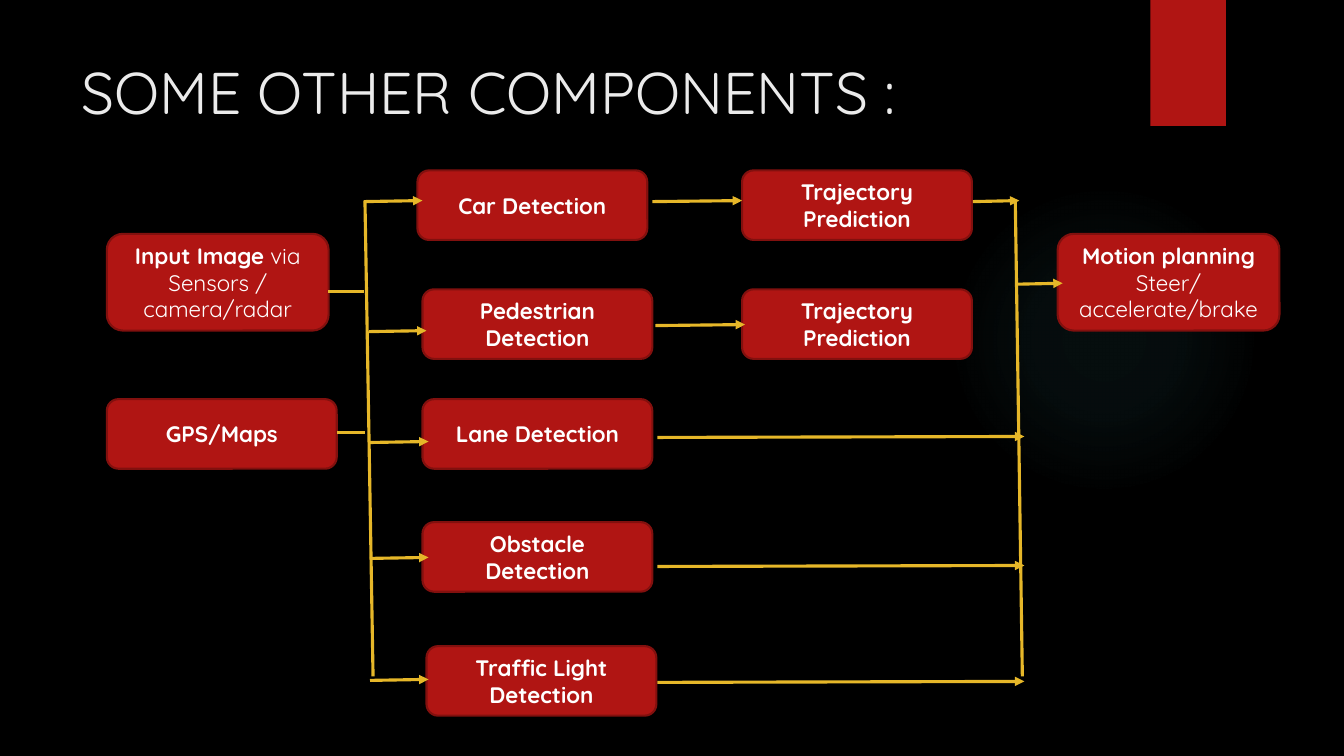
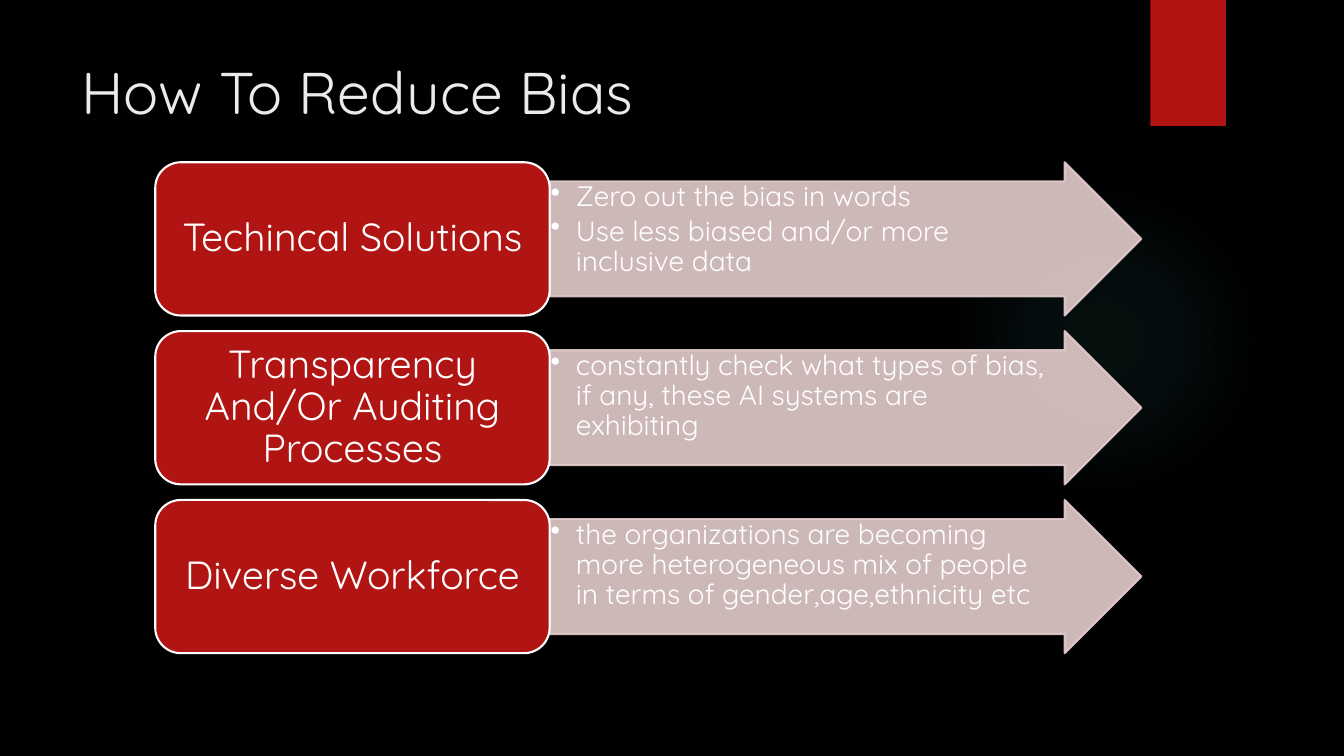
"""Build two dark slides: a detection pipeline and ways to reduce bias."""
from lxml import etree
from pptx import Presentation
from pptx.dml.color import RGBColor
from pptx.enum.shapes import MSO_CONNECTOR as Connector, MSO_SHAPE as Shape
from pptx.enum.text import MSO_ANCHOR as Anchor, PP_ALIGN as Align
from pptx.oxml import parse_xml
from pptx.oxml.ns import nsdecls, qn
from pptx.util import Inches, Pt

FONT = "Quicksand"
BLACK = RGBColor(0x00, 0x00, 0x00)
WHITE = RGBColor(0xFF, 0xFF, 0xFF)
TITLE_GREY = RGBColor(0xEB, 0xEB, 0xEB)
RED = RGBColor(0xB0, 0x15, 0x13)
DARK_RED = RGBColor(0x82, 0x10, 0x0E)
GOLD = RGBColor(0xE6, 0xB7, 0x29)
PINK = RGBColor(0xE4, 0xCC, 0xCC)
GLOW = RGBColor(0x50, 0xB9, 0xC1)
GLOW_STOPS = ((0, 7), (36, 6), (69, 0))

BOX_WIDTH, BOX_HEIGHT = 2.28, 0.69
END_WIDTH, END_HEIGHT = 2.2, 0.96
BOXES = (
    (0, 0.63, END_WIDTH, END_HEIGHT,
     ((("Input Image ", True), ("via", False)), (("Sensors / camera/radar", False),))),
    (0, 2.27, BOX_WIDTH, BOX_HEIGHT, ((("GPS/Maps", True),),)),
    (3.08, 0, BOX_WIDTH, BOX_HEIGHT, ((("Car Detection", True),),)),
    (3.13, 1.18, BOX_WIDTH, BOX_HEIGHT, ((("Pedestrian Detection", True),),)),
    (3.13, 2.27, BOX_WIDTH, BOX_HEIGHT, ((("Lane Detection", True),),)),
    (3.13, 3.49, BOX_WIDTH, BOX_HEIGHT, ((("Obstacle Detection", True),),)),
    (3.17, 4.72, BOX_WIDTH, BOX_HEIGHT, ((("Traffic Light", True),), (("Detection", True),))),
    (6.3, 0, BOX_WIDTH, BOX_HEIGHT, ((("Trajectory Prediction", True),),)),
    (6.3, 1.18, BOX_WIDTH, BOX_HEIGHT, ((("Trajectory", True),), (("Prediction", True),))),
    (9.43, 0.63, END_WIDTH, END_HEIGHT,
     ((("Motion planning", True),), (("Steer/accelerate/brake", False),))),
)
PLAIN_LINES = (
    (2.56, 0.3, 2.64, 5.02),
    (9.01, 0.3, 9.08, 5.02),
    (2.55, 1.2, 2.19, 1.2),
    (2.56, 2.6, 2.28, 2.6),
)
ARROWS = (
    (2.55, 3.13, 0.31), (2.6, 3.17, 1.6), (2.61, 3.19, 2.7),
    (2.61, 3.19, 3.85), (2.61, 3.19, 5.06),
    (5.41, 6.3, 0.31), (5.44, 6.33, 1.54),
    (5.46, 9.1, 2.65), (5.46, 9.1, 3.93), (5.46, 9.1, 5.08),
    (8.59, 9.05, 0.31), (9.01, 9.48, 1.13),
)
ARROW_RISE = 0.01
REMEDIES = (
    ("Techincal Solutions",
     ("Zero out the bias in words", "Use less biased and/or more inclusive data")),
    ("Transparency And/Or Auditing Processes",
     ("constantly check what types of bias, if any, these AI systems are exhibiting",)),
    ("Diverse Workforce",
     ("the organizations are becoming more heterogeneous mix of people in terms of "
      "gender,age,ethnicity etc",)),
)


def add_run(paragraph, text, size, color=WHITE, bold=False):
    """Add one run in the deck's font."""
    run = paragraph.add_run()
    run.text = text
    run.font.name = FONT
    run.font.size = Pt(size)
    run.font.bold = bold
    run.font.color.rgb = color


def next_paragraph(frame, index):
    """Return the first paragraph of a frame, or a new one after it."""
    return frame.add_paragraph() if index else frame.paragraphs[0]


def set_insets(frame, left, top, right, bottom):
    """Set the four margins of a text frame in inches."""
    frame.margin_left, frame.margin_top = Inches(left), Inches(top)
    frame.margin_right, frame.margin_bottom = Inches(right), Inches(bottom)


def add_filled(slide, kind, left, top, width, height, fill, line=None):
    """Add a flat preset shape with an optional outline."""
    shape = slide.shapes.add_shape(kind, Inches(left), Inches(top), Inches(width), Inches(height))
    shape.shadow.inherit = False
    shape.fill.solid()
    shape.fill.fore_color.rgb = fill
    if line is None:
        shape.line.fill.background()
    else:
        shape.line.color.rgb = line
        shape.line.width = Pt(1.5)
    shape.text_frame.word_wrap = True
    return shape


def add_glow(slide, left, top, size):
    """Add the faint round glow behind the content."""
    glow = add_filled(slide, Shape.OVAL, left, top, size, size, GLOW)
    stops = "".join(
        f'<a:gs pos="{position * 1000}"><a:srgbClr val="{GLOW}">'
        f'<a:alpha val="{alpha * 1000}"/></a:srgbClr></a:gs>'
        for position, alpha in GLOW_STOPS)
    gradient = parse_xml(
        f'<a:gradFill {nsdecls("a")} rotWithShape="1"><a:gsLst>{stops}</a:gsLst>'
        '<a:path path="circle"><a:fillToRect l="50000" t="50000" r="50000" b="50000"/>'
        '</a:path></a:gradFill>')
    properties = glow._element.spPr
    properties.replace(properties.find(qn("a:solidFill")), gradient)


def add_base_slide(presentation, title):
    """Add a black slide with the glow, the red tab and a title."""
    slide = presentation.slides.add_slide(presentation.slide_layouts[6])
    slide.background.fill.solid()
    slide.background.fill.fore_color.rgb = BLACK
    add_glow(slide, 9.41, 1.83, 3.08)
    add_filled(slide, Shape.RECTANGLE, 11.41, 0, 0.75, 1.25, RED)
    frame = slide.shapes.add_textbox(
        Inches(0.71), Inches(0.5), Inches(10.29), Inches(1.53)).text_frame
    frame.word_wrap = True
    add_run(frame.paragraphs[0], title, 42, TITLE_GREY)
    return slide


def add_step(slide, left, top, width, height, lines):
    """Add one rounded pipeline box with centred lines of runs."""
    shape = add_filled(slide, Shape.ROUNDED_RECTANGLE, left, top, width, height, RED, DARK_RED)
    frame = shape.text_frame
    frame.vertical_anchor = Anchor.MIDDLE
    for index, runs in enumerate(lines):
        paragraph = next_paragraph(frame, index)
        paragraph.alignment = Align.CENTER
        for text, bold in runs:
            add_run(paragraph, text, 16, bold=bold)


def add_line(slide, x1, y1, x2, y2, arrow=False):
    """Add a gold line, with an arrowhead at its end if asked."""
    line = slide.shapes.add_connector(
        Connector.STRAIGHT, Inches(x1), Inches(y1), Inches(x2), Inches(y2))
    line.line.color.rgb = GOLD
    line.line.width = Pt(2.25)
    if arrow:
        etree.SubElement(line.line._get_or_add_ln(), qn("a:tailEnd"), type="triangle")
    etree.SubElement(line._element.spPr, qn("a:effectLst"))


def add_pipeline(slide, left, top):
    """Draw the boxes and lines of the pipeline from its top left corner."""
    for x, y, width, height, lines in BOXES:
        add_step(slide, left + x, top + y, width, height, lines)
    for x1, y1, x2, y2 in PLAIN_LINES:
        add_line(slide, left + x1, top + y1, left + x2, top + y2)
    for x1, x2, y in ARROWS:
        add_line(slide, left + x1, top + y, left + x2, top + y - ARROW_RISE, arrow=True)


def add_bullet(paragraph, text):
    """Fill a paragraph with a bulleted line."""
    properties = paragraph._p.get_or_add_pPr()
    properties.set("marL", str(Inches(0.25)))
    properties.set("indent", str(-Inches(0.25)))
    etree.SubElement(properties, qn("a:buChar"), char="•")
    paragraph.alignment = Align.LEFT
    paragraph.line_spacing = 0.9
    paragraph.space_after = Pt(3)
    add_run(paragraph, text, 20)


def add_remedy(slide, left, top, width, height, label, bullets):
    """Add a label box and the arrow of bullets to its right."""
    label_width = width * 0.4
    arrow = add_filled(slide, Shape.RIGHT_ARROW, left + label_width, top,
                       width - label_width, height, PINK, PINK)
    arrow.adjustments[0], arrow.adjustments[1] = 0.75, 0.5
    for color in arrow._element.spPr.iter(qn("a:srgbClr")):
        etree.SubElement(color, qn("a:alpha"), val="90000")
    frame = arrow.text_frame
    frame.vertical_anchor = Anchor.TOP
    set_insets(frame, 0.01, 0.01, 0.39, 0.01)
    for index, text in enumerate(bullets):
        add_bullet(next_paragraph(frame, index), text)

    box = add_filled(slide, Shape.ROUNDED_RECTANGLE, left, top, label_width, height, RED, WHITE)
    frame = box.text_frame
    frame.vertical_anchor = Anchor.MIDDLE
    set_insets(frame, 0.12, 0.06, 0.12, 0.06)
    paragraph = frame.paragraphs[0]
    paragraph.alignment = Align.CENTER
    paragraph.line_spacing = 0.9
    add_run(paragraph, label, 28)


def add_remedies(slide, left, top, width, height):
    """Stack the remedies evenly in the given box."""
    row_height = 1.52
    pitch = (height - row_height) / (len(REMEDIES) - 1)
    for index, (label, bullets) in enumerate(REMEDIES):
        add_remedy(slide, left, top + index * pitch, width, row_height, label, bullets)


def main():
    """Build and save the presentation."""
    presentation = Presentation()
    presentation.slide_width, presentation.slide_height = Inches(13.33), Inches(7.5)
    add_pipeline(add_base_slide(presentation, "SOME OTHER COMPONENTS :"), 1.06, 1.69)
    add_remedies(add_base_slide(presentation, "How To Reduce Bias"), 1.54, 1.61, 9.78, 4.87)
    presentation.save("out.pptx")


if __name__ == "__main__":
    main()
